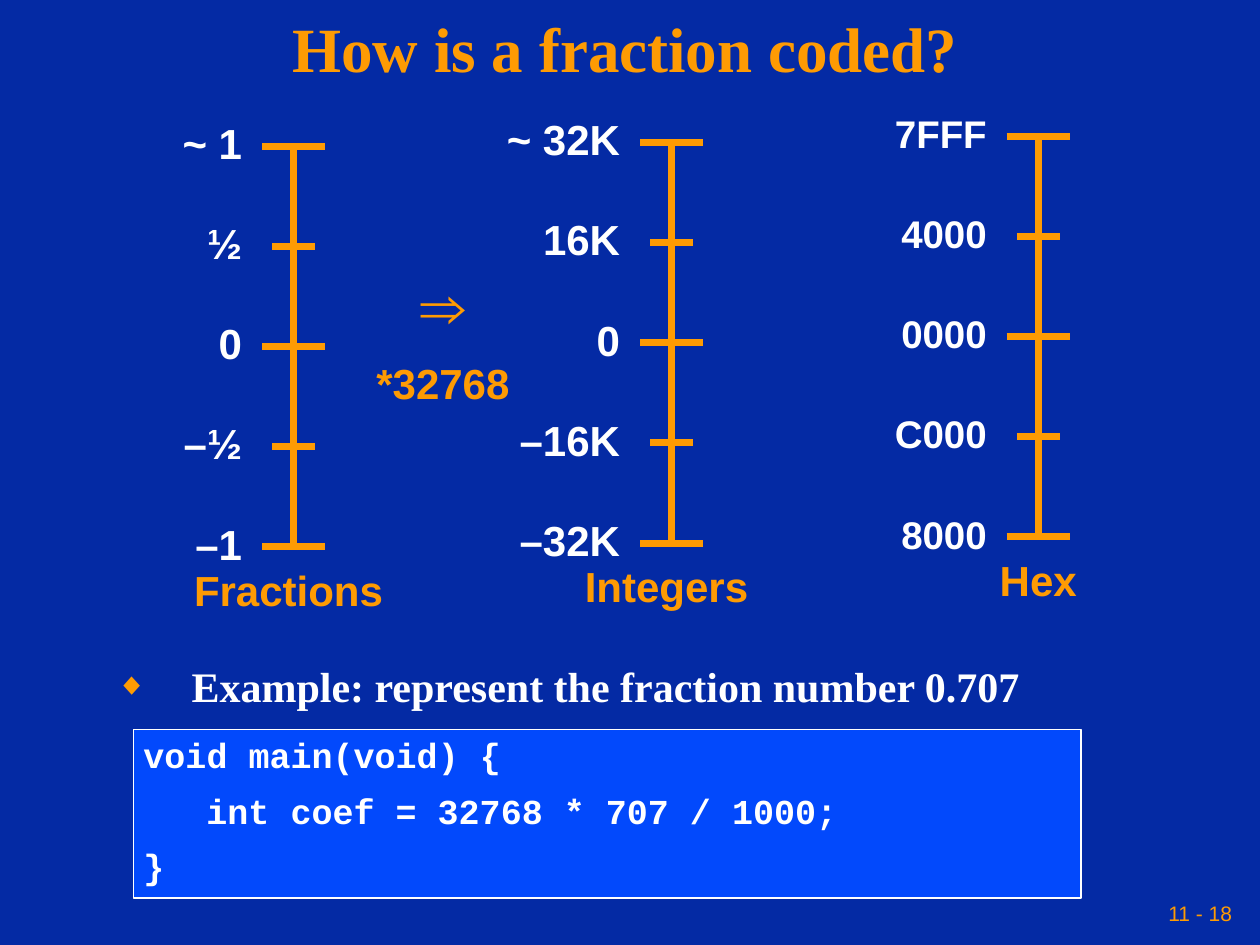
from lxml.etree import SubElement
from pptx import Presentation
from pptx.dml.color import RGBColor
from pptx.enum.shapes import MSO_CONNECTOR, MSO_SHAPE
from pptx.enum.text import MSO_ANCHOR, MSO_AUTO_SIZE, PP_ALIGN
from pptx.oxml.ns import qn
from pptx.util import Inches, Pt

ORANGE, WHITE = "FE9B03", "FFFFFF"
NAVY, BLUE = "042AA4", "0249FC"


def color(hex_string):
    return RGBColor.from_string(hex_string)


class SlideBuilder:
    """Holds the shared style and the current slide."""
    sans, serif, mono = "Arial", "Times New Roman", "Courier New"
    line_width = Pt(4)
    line_spacing = 0.8

    def __init__(self, slide):
        self.slide = slide
        slide.background.fill.solid()
        slide.background.fill.fore_color.rgb = color(NAVY)

    def place(self, shape, left, top, width, height):
        shape.left, shape.top = Inches(left), Inches(top)
        shape.width, shape.height = Inches(width), Inches(height)

    def frame(self, shape, anchor=MSO_ANCHOR.TOP, wrap=True, inset=0.1,
              fit=MSO_AUTO_SIZE.NONE):
        frame = shape.text_frame
        frame.word_wrap, frame.auto_size = wrap, fit
        frame.vertical_anchor = anchor
        frame.margin_left = frame.margin_right = Inches(inset)
        frame.margin_top = frame.margin_bottom = Inches(0.05)
        return frame

    def style_text(self, paragraph, text, size, font, ink, align=PP_ALIGN.LEFT,
                   bold=True, spacing=line_spacing, before=0):
        paragraph.alignment = align
        paragraph.line_spacing = spacing
        paragraph.space_before = Pt(before)
        run = paragraph.add_run()
        run.text = text
        run.font.size, run.font.name, run.font.bold = Pt(size), font, bold
        run.font.color.rgb = color(ink)

    def indent(self, paragraph, left, first=0):
        properties = paragraph._p.get_or_add_pPr()
        properties.set("marL", str(Inches(left)))
        properties.set("indent", str(Inches(first)))
        return properties

    def title(self, text):
        title = self.slide.shapes.title
        self.place(title, 0, 0, 9.92, 0.83)
        frame = self.frame(title, MSO_ANCHOR.MIDDLE, inset=0.05)
        self.style_text(frame.paragraphs[0], text, 36, self.serif, ORANGE,
                        PP_ALIGN.CENTER, spacing=0.9)

    def bullet(self, text):
        body = self.slide.placeholders[1]
        self.place(body, 0.25, 5.27, 8.5, 0.42)
        paragraph = self.frame(body).paragraphs[0]
        self.style_text(paragraph, text, 24, self.serif, WHITE, before=12)
        properties = self.indent(paragraph, 1.17, -0.6)
        bullet_color = SubElement(properties, qn("a:buClr"))
        SubElement(bullet_color, qn("a:srgbClr"), val=ORANGE)
        SubElement(properties, qn("a:buSzPct"), val="75000")
        SubElement(properties, qn("a:buChar"), char="◆")

    def label(self, shapes, text, box, size, ink, align, wrap=False,
              inset=0.1, **style):
        label = shapes.add_textbox(*map(Inches, box))
        frame = self.frame(label, MSO_ANCHOR.MIDDLE, wrap, inset)
        self.style_text(frame.paragraphs[0], text, size, self.sans, ink, align,
                        **style)

    def line(self, shapes, x1, y1, x2, y2):
        line = shapes.add_connector(MSO_CONNECTOR.STRAIGHT,
                                    *map(Inches, (x1, y1, x2, y2)))
        line.line.color.rgb = color(ORANGE)
        line.line.width = self.line_width
        SubElement(line._element.spPr, qn("a:effectLst"))

    def scale(self, name, x, top, marks, size, name_x):
        """A vertical axis with long ticks at the ends and the middle."""
        step = 3.18 / 4
        shapes = self.slide.shapes.add_group_shape().shapes
        self.line(shapes, x, top, x, top + 4 * step)
        for index, mark in enumerate(marks):
            y = top + index * step
            half = 0.17 if index % 2 else 0.25
            self.line(shapes, x - half, y, x + half, y)
            self.label(shapes, mark, (x - 0.75, y - 0.165, 0.44, 0.35),
                       size, WHITE, PP_ALIGN.RIGHT)
        self.label(shapes, name, (name_x - 1, top + 3.38, 2, 0.35),
                   24, ORANGE, PP_ALIGN.CENTER)

    def panel(self, *box):
        panel = self.slide.shapes.add_shape(MSO_SHAPE.RECTANGLE, *map(Inches, box))
        panel.shadow.inherit = False
        panel.fill.solid()
        panel.fill.fore_color.rgb = color(BLUE)
        panel.line.color.rgb = color(WHITE)
        panel.line.width = Pt(1)

    def text_block(self, box, lines, font, ink, align):
        """Lines are (text, size, space before, indent)."""
        block = self.slide.shapes.add_textbox(*map(Inches, box))
        frame = self.frame(block, fit=MSO_AUTO_SIZE.SHAPE_TO_FIT_TEXT)
        for index, (text, size, before, left) in enumerate(lines):
            paragraph = frame.add_paragraph() if index else frame.paragraphs[0]
            self.style_text(paragraph, text, size, font, ink, align, before=before)
            self.indent(paragraph, left)


def main():
    deck = Presentation()
    deck.slide_width, deck.slide_height = Inches(10), Inches(7.5)
    builder = SlideBuilder(deck.slides.add_slide(deck.slide_layouts[1]))

    # Title and page number
    builder.title("How is a fraction coded?")
    builder.label(builder.slide.shapes, "11 - 18", (6.83, 7.08, 3, 0.33), 12,
                  ORANGE, PP_ALIGN.RIGHT, inset=0.05, bold=False, spacing=1.0)

    # Three matching number scales
    scales = [
        ("Fractions", 2.33, 1.16, ("~ 1", "½", "0", "–½", "–1"), 24, 2.29),
        ("Integers", 5.33, 1.13, ("~ 32K", "16K", "0", "–16K", "–32K"), 24, 5.29),
        ("Hex", 8.24, 1.08, ("7FFF", "4000", "0000", "C000", "8000"), 22, 8.24),
    ]
    for scale in scales:
        builder.scale(*scale)

    # Code sample
    builder.panel(1.06, 5.79, 7.52, 1.34)
    code = [("void main(void) {", 20, 12.5, 0),
            ("int coef = 32768 * 707 / 1000;", 20, 12.5, 0.5),
            ("}", 20, 12.5, 0)]
    builder.text_block((1.04, 5.84, 8.29, 1.25), code, builder.mono, WHITE,
                       PP_ALIGN.LEFT)

    # Conversion factor between fractions and integers
    factor = [("⇒", 36, 22.5, 0), ("*32768", 24, 15, 0)]
    builder.text_block((2.81, 2.18, 1.41, 1.11), factor, builder.sans, ORANGE,
                       PP_ALIGN.CENTER)

    # Example
    builder.bullet("Example: represent the fraction number 0.707")

    deck.save("out.pptx")


if __name__ == "__main__":
    main()
